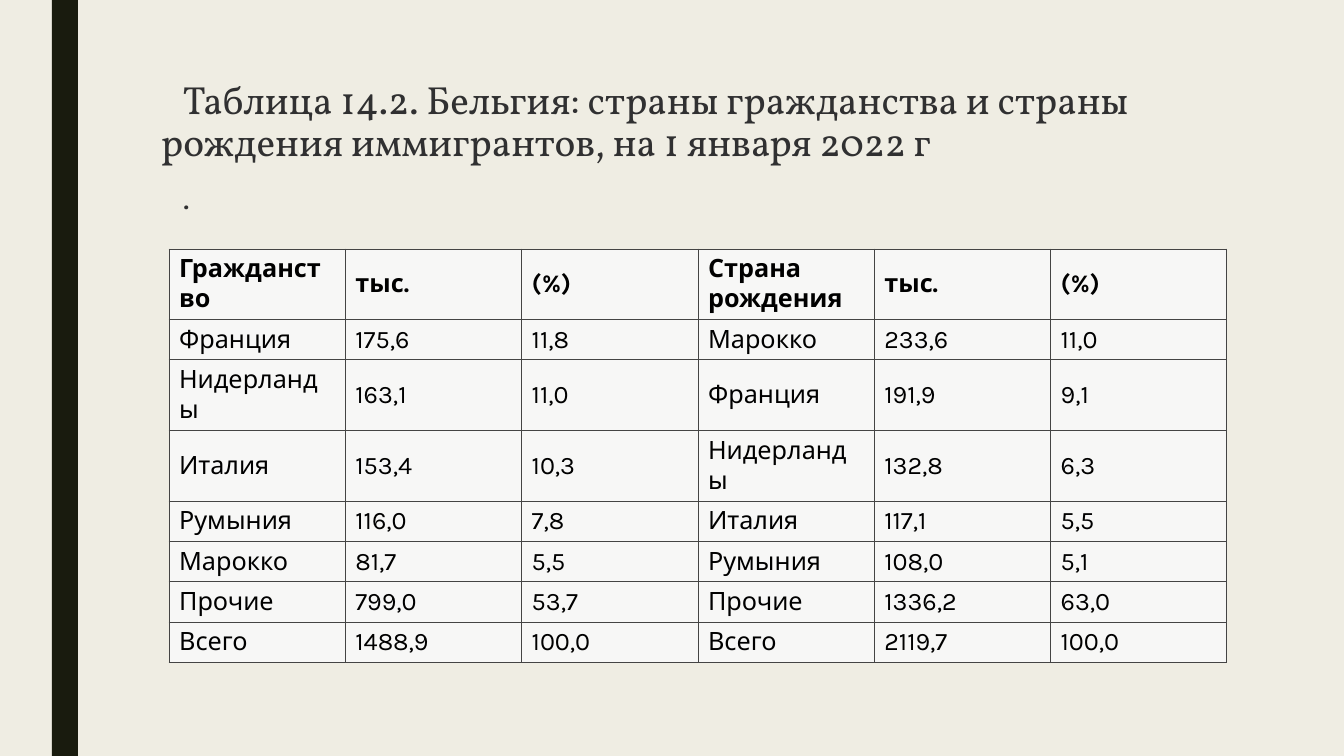
from dataclasses import dataclass

from lxml import etree
from pptx import Presentation
from pptx import util as u
from pptx.dml.color import RGBColor
from pptx.enum import shapes, text
from pptx.oxml.ns import qn

EMU_PER_PX = 914400 / 100.8


@dataclass(frozen=True)
class Theme:
    background: str = "EFEDE3"
    bar: str = "191B0E"
    title: str = "303031"
    cell_fill: str = "F7F7F6"
    cell_text: str = "000000"
    border: str = "444444"
    title_font: str = "Vollkorn"
    table_font: str = "Karla"
    title_size: int = 28
    stop_size: int = 21
    table_size: int = 18
    border_width: float = 0.75


@dataclass(frozen=True)
class Box:
    left: int
    top: int
    width: int
    height: int

    def emu(self) -> tuple:
        return px(self.left), px(self.top), px(self.width), px(self.height)


@dataclass(frozen=True)
class TitleText:
    box: Box
    wording: str
    size: int
    anchor: text.MSO_ANCHOR
    wrap: bool
    line_spacing: float


THEME = Theme()
BAR = Box(52, 0, 26, 756)
TABLE = Box(169, 249, 1058, 407)
TALL_ROW, SHORT_ROW = 69, 39
TALL_ROWS = {0, 2, 3}
FIRST_LINE_INDENT = 22

TITLE = TitleText(
    Box(151, 76, 1058, 163),
    "Таблица 14.2. Бельгия: страны гражданства и страны \v"
    "рождения иммигрантов, на 1 января 2022 г",
    THEME.title_size, text.MSO_ANCHOR.TOP, True, 0.89,
)
FULL_STOP = TitleText(
    Box(151, 175, 51, 45), ".", THEME.stop_size, text.MSO_ANCHOR.MIDDLE, False, 1.0
)

ROWS = [
    ("Гражданство", "тыс.", "(%)", "Страна рождения", "тыс.", "(%)"),
    ("Франция", "175,6", "11,8", "Марокко", "233,6", "11,0"),
    ("Нидерланды", "163,1", "11,0", "Франция", "191,9", "9,1"),
    ("Италия", "153,4", "10,3", "Нидерланды", "132,8", "6,3"),
    ("Румыния", "116,0", "7,8", "Италия", "117,1", "5,5"),
    ("Марокко", "81,7", "5,5", "Румыния", "108,0", "5,1"),
    ("Прочие", "799,0", "53,7", "Прочие", "1336,2", "63,0"),
    ("Всего", "1488,9", "100,0", "Всего", "2119,7", "100,0"),
]


def px(length: int) -> u.Emu:
    return u.Emu(round(length * EMU_PER_PX))


def fill_solid(fill, color: str) -> None:
    fill.solid()
    fill.fore_color.rgb = RGBColor.from_string(color)


def style_runs(paragraph, font: str, size: int, color: str, bold: bool = False) -> None:
    for run in paragraph.runs:
        run.font.name = font
        run.font.size = u.Pt(size)
        run.font.bold = bold
        run.font.color.rgb = RGBColor.from_string(color)


def add_bar(slide) -> None:
    shape = slide.shapes.add_shape(shapes.MSO_SHAPE.RECTANGLE, *BAR.emu())
    shape.shadow.inherit = False
    fill_solid(shape.fill, THEME.bar)
    shape.line.fill.background()


def add_title_text(slide, item: TitleText) -> None:
    frame = slide.shapes.add_textbox(*item.box.emu()).text_frame
    frame.word_wrap = item.wrap
    frame.vertical_anchor = item.anchor
    paragraph = frame.paragraphs[0]
    paragraph.text = item.wording
    paragraph.line_spacing = item.line_spacing
    paragraph._p.get_or_add_pPr().set("indent", str(px(FIRST_LINE_INDENT)))
    style_runs(paragraph, THEME.title_font, item.size, THEME.title)


def add_borders(cell) -> None:
    properties = cell._tc.get_or_add_tcPr()
    for position, side in enumerate(("a:lnL", "a:lnR", "a:lnT", "a:lnB")):
        line = etree.Element(qn(side), w=str(u.Pt(THEME.border_width)))
        solid = etree.SubElement(line, qn("a:solidFill"))
        etree.SubElement(solid, qn("a:srgbClr"), val=THEME.border)
        properties.insert(position, line)


def add_table(slide) -> None:
    columns = len(ROWS[0])
    table = slide.shapes.add_table(len(ROWS), columns, *TABLE.emu()).table
    for column in table.columns:
        column.width = px(TABLE.width) // columns
    for row_index, values in enumerate(ROWS):
        height = TALL_ROW if row_index in TALL_ROWS else SHORT_ROW
        table.rows[row_index].height = px(height)
        for column_index, value in enumerate(values):
            cell = table.cell(row_index, column_index)
            cell.text_frame.text = value
            cell.vertical_anchor = text.MSO_ANCHOR.MIDDLE
            style_runs(cell.text_frame.paragraphs[0], THEME.table_font,
                       THEME.table_size, THEME.cell_text, row_index == 0)
            fill_solid(cell.fill, THEME.cell_fill)
            add_borders(cell)


def main() -> None:
    presentation = Presentation()
    presentation.slide_width = px(1344)
    presentation.slide_height = px(756)
    slide = presentation.slides.add_slide(presentation.slide_layouts[6])
    fill_solid(slide.background.fill, THEME.background)
    add_bar(slide)
    add_title_text(slide, TITLE)
    add_table(slide)
    add_title_text(slide, FULL_STOP)
    presentation.save("out.pptx")


if __name__ == "__main__":
    main()
